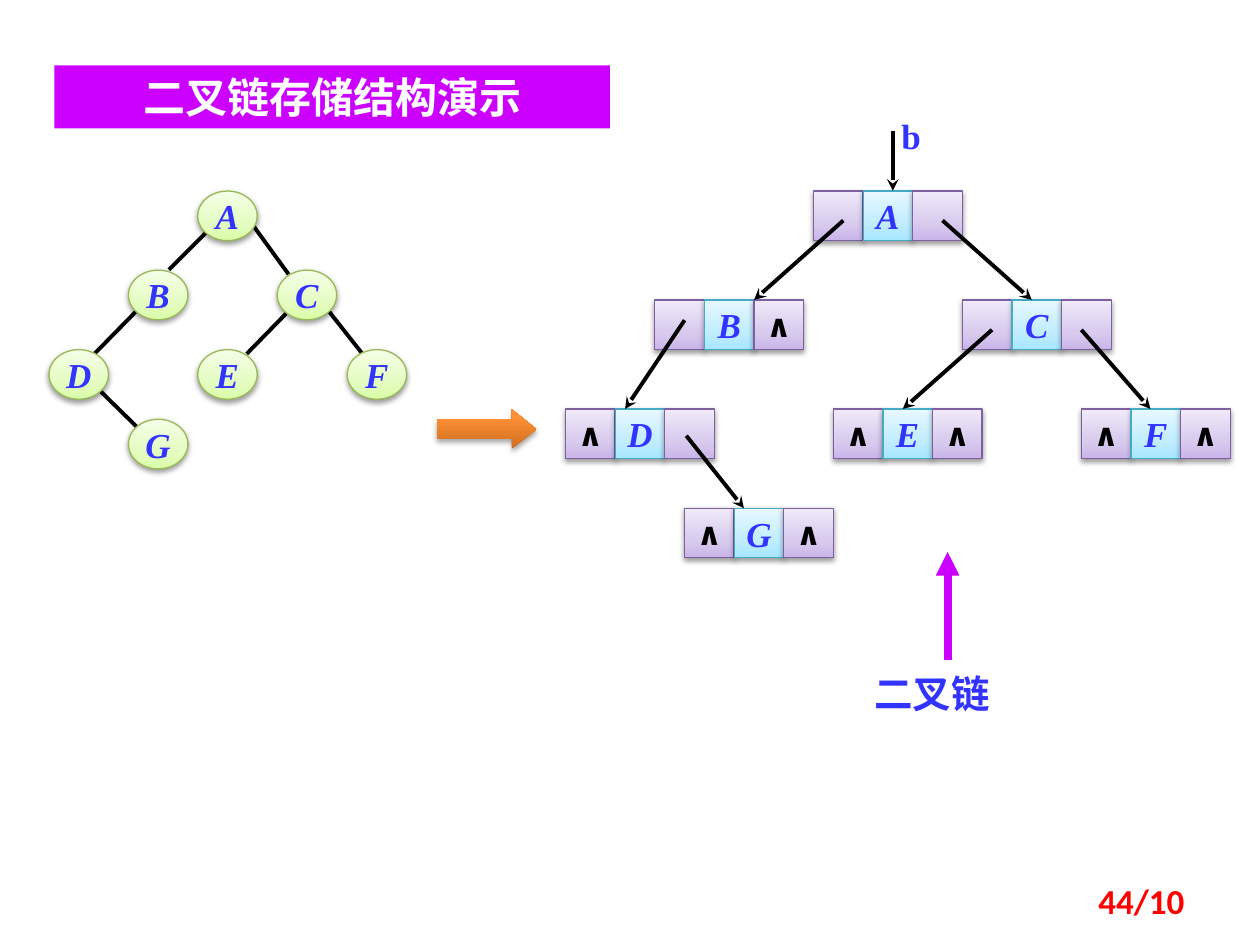
"""Build the slide on linked storage of a binary tree."""
from copy import deepcopy

from lxml import etree
from pptx import Presentation
from pptx.dml.color import RGBColor
from pptx.enum import shapes, text
from pptx.oxml.ns import qn
from pptx.util import Pt

BLUE = RGBColor(0x33, 0x33, 0xFF)
RED = RGBColor(0xFF, 0, 0)
BLACK = RGBColor(0, 0, 0)
WHITE = RGBColor(0xFF, 0xFF, 0xFF)
PINK = RGBColor(0xCC, 0, 0xFF)
LEAF = RGBColor(0x98, 0xB9, 0x55)
PLUM = RGBColor(0x7D, 0x60, 0xA0)
TEAL = RGBColor(0x46, 0xAA, 0xC5)
GREENS = [RGBColor(0xDA, 0xFD, 0xA7), RGBColor(0xE4, 0xFC, 0xC2), RGBColor(0xF5, 0xFF, 0xE7)]
LILACS = [RGBColor(0xC9, 0xB5, 0xE8), RGBColor(0xD8, 0xCB, 0xEE), RGBColor(0xF0, 0xEA, 0xF9)]
SKIES = [RGBColor(0xA7, 0xE6, 0xFF), RGBColor(0xC1, 0xED, 0xFF), RGBColor(0xE7, 0xF8, 0xFF)]
AMBERS = [RGBColor(0xCC, 0x6E, 0x20), RGBColor(0xFF, 0x90, 0x34), RGBColor(0xFF, 0x91, 0x36)]
SERIF, SANS, HAN = "Times New Roman", "Calibri", "Noto Sans CJK SC"
LEFT, MID, RIGHT = text.PP_ALIGN.LEFT, text.PP_ALIGN.CENTER, text.PP_ALIGN.RIGHT
CELL = 28.35


def write(shape, words, font=SERIF, size=20, color=BLUE, italic=False,
          align=MID, top=False, wrap=False):
    """Put one line of bold text into a shape."""
    frame = shape.text_frame
    frame.word_wrap = wrap
    frame.vertical_anchor = text.MSO_ANCHOR.TOP if top else text.MSO_ANCHOR.MIDDLE
    line = frame.paragraphs[0]
    line.alignment = align
    run = line.add_run()
    run.text = words
    run.font.name, run.font.size = font, Pt(size)
    run.font.bold, run.font.italic = True, italic
    run.font.color.rgb = color
    etree.SubElement(run.font._element, qn("a:ea"), typeface=font)


def shade(shape, alpha=38, dist=1.6):
    """Drop a soft shadow straight down."""
    shape.shadow.inherit = False
    glow = shape._element.spPr.find(qn("a:effectLst"))
    drop = etree.SubElement(glow, qn("a:outerShdw"), blurRad=str(Pt(3.1)),
                            dist=str(Pt(dist)), dir="5400000", rotWithShape="0")
    tint = etree.SubElement(drop, qn("a:srgbClr"), val=str(BLACK))
    etree.SubElement(tint, qn("a:alpha"), val=str(alpha * 1000))


def blend(shape, colors, middle=0.35):
    """Fill a shape with three colours running upward."""
    fill = shape.fill
    fill.gradient()
    fill.gradient_angle = 90
    stops = shape._element.spPr.find(".//" + qn("a:gsLst"))
    stops.insert(1, deepcopy(stops[0]))
    for stop, color, place in zip(fill.gradient_stops, colors, (0, middle, 1)):
        stop.color.rgb, stop.position = color, place


def block(parts, kind, x, y, w, h, colors, edge):
    """Add a shaded shape with a thin edge."""
    shape = parts.add_shape(kind, Pt(x), Pt(y), Pt(w), Pt(h))
    blend(shape, colors)
    shape.line.color.rgb, shape.line.width = edge, Pt(0.75)
    shade(shape)
    return shape


def stroke(parts, x, y, ends, color=BLACK, width=2.25, head=None):
    """Draw a straight line, with an arrowhead if one is named."""
    x1, y1, x2, y2 = ends
    line = parts.add_connector(shapes.MSO_CONNECTOR.STRAIGHT, Pt(x + x1),
                               Pt(y + y1), Pt(x + x2), Pt(y + y2))
    line.line.color.rgb, line.line.width = color, Pt(width)
    if head:
        etree.SubElement(line.line._get_or_add_ln(), qn("a:tailEnd"), type=head)
    etree.SubElement(line._element.spPr, qn("a:effectLst"))


def label(parts, x, y, w, h, words, **form):
    """Add a text box."""
    write(parts.add_textbox(Pt(x), Pt(y), Pt(w), Pt(h)), words, **form)


def tree(slide, x, y):
    """Draw the binary tree with its top left corner at x, y."""
    parts = slide.shapes.add_group_shape().shapes
    edges = [(28, 113, 51, 135.5), (91, 22.5, 68.5, 45), (116, 18.8, 136.9, 47.5),
             (51, 67.5, 23, 96), (135.5, 70, 113, 93), (159, 67.5, 181.5, 96)]
    for ends in edges:
        stroke(parts, x, y, ends)
    nodes = {"A": (85, 0), "B": (45.4, 45.2), "C": (130.4, 45.2), "D": (0, 90.6),
             "E": (85, 90.6), "G": (45.4, 130.4), "F": (170.4, 90.6)}
    for name, (dx, dy) in nodes.items():
        node = block(parts, shapes.MSO_SHAPE.OVAL, x + dx, y + dy, 34, CELL, GREENS, LEAF)
        write(node, name, italic=True)


def record(parts, x, y, name, empty):
    """Draw one node of three cells; empty tells which links are null."""
    for i, mark in enumerate((empty[0], name, empty[1])):
        data = i == 1
        cell = block(parts, shapes.MSO_SHAPE.RECTANGLE, x + i * CELL, y, CELL, CELL,
                     SKIES if data else LILACS, TEAL if data else PLUM)
        if data:
            write(cell, mark, italic=True)
        elif mark:
            write(cell, "∧", font=SANS, size=18, color=BLACK)


def chain(slide, x, y):
    """Draw the linked nodes with their top left corner at x, y."""
    parts = slide.shapes.add_group_shape().shapes
    nodes = [("A", 141.7, 47.2, (0, 0)), ("B", 51, 109.4, (0, 1)),
             ("D", 0, 171.7, (1, 0)), ("G", 68, 228.4, (1, 1)),
             ("C", 226.8, 109.4, (0, 0)), ("E", 153, 171.7, (1, 1)),
             ("F", 294.8, 171.7, (1, 1))]
    for name, dx, dy, empty in nodes:
        record(parts, x + dx, y + dy, name, empty)
    links = [(158.7, 64, 107.7, 109.4), (68, 121, 34, 171.7), (215.4, 64, 266.4, 109.4),
             (69, 187, 101.9, 228.4), (243.7, 126.5, 192.7, 171.7),
             (294.7, 126.5, 334.2, 171.7), (187, 13, 187, 47)]
    for ends in links:
        stroke(parts, x, y, ends, head="stealth")
    label(parts, x + 172, y, 51, 31, "b", top=True, wrap=True)


def title(slide, x, y, w, h):
    """Draw the heading bar."""
    bar = slide.shapes.add_shape(shapes.MSO_SHAPE.RECTANGLE, Pt(x), Pt(y), Pt(w), Pt(h))
    bar.shadow.inherit = False
    bar.fill.solid()
    bar.fill.fore_color.rgb = PINK
    bar.line.fill.background()
    frame = bar.text_frame
    frame.margin_top = frame.margin_bottom = 0
    write(bar, "二叉链存储结构演示", font=HAN, size=24, color=WHITE, wrap=True)


def turn(slide, x, y, w, h):
    """Draw the block arrow from the tree to the chain."""
    arrow = slide.shapes.add_shape(shapes.MSO_SHAPE.RIGHT_ARROW, Pt(x), Pt(y), Pt(w), Pt(h))
    arrow.adjustments[0], arrow.adjustments[1] = 0.5, 0.63
    blend(arrow, AMBERS, 0.8)
    arrow.line.fill.background()
    shade(arrow, 35, 1.8)


def note(slide, x, y):
    """Draw the caption under its upward arrow."""
    parts = slide.shapes.add_group_shape().shapes
    label(parts, x, y + 64, 108, 34, "二叉链", font=HAN, size=22, align=LEFT, top=True, wrap=True)
    stroke(parts, x, y, (49, 62, 49, 0), color=PINK, width=4.5, head="triangle")


def main():
    """Build and save the slide."""
    deck = Presentation()
    deck.slide_width, deck.slide_height = Pt(720), Pt(540)
    slide = deck.slides.add_slide(deck.slide_layouts[6])
    tree(slide, 28, 109.2)
    turn(slide, 249.8, 234, 56.9, 22.5)
    chain(slide, 323.2, 62)
    title(slide, 31, 37.4, 317.5, 36)
    note(slide, 492.5, 315.4)
    label(slide.shapes, 516, 500.4, 168, 28.8, "44/10", font=SANS, color=RED,
          align=RIGHT, wrap=True)
    deck.save("out.pptx")


if __name__ == "__main__":
    main()
